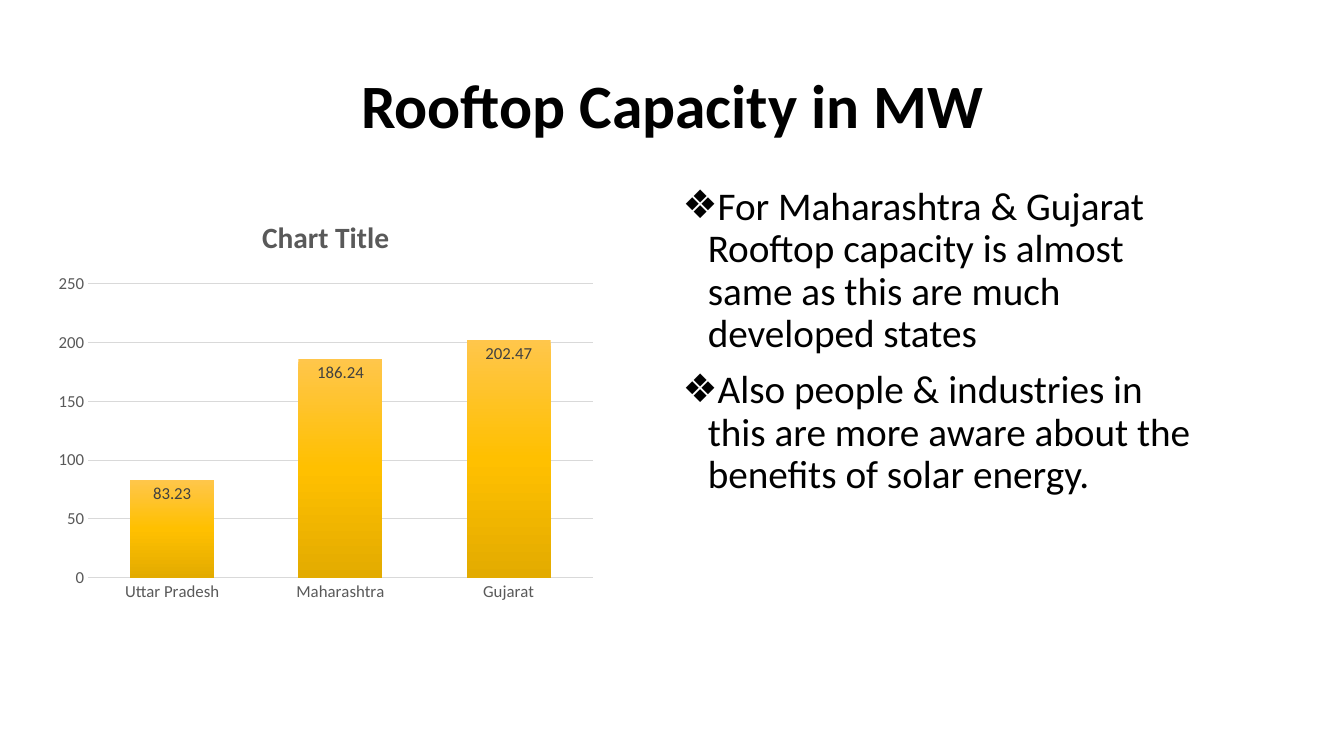
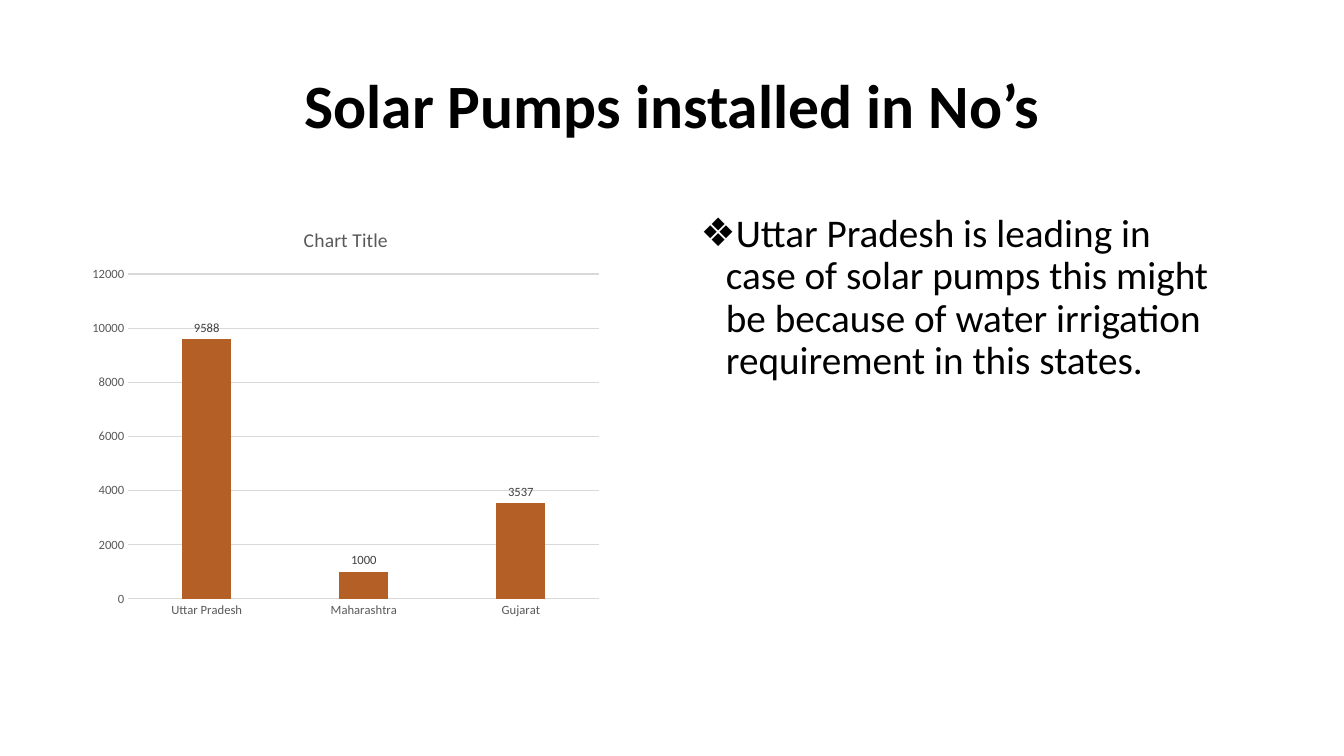
import copy
import lxml.etree
import pptx
import pptx.chart.data
import pptx.dml.color
import pptx.enum.chart
import pptx.enum.text
import pptx.oxml.ns
import pptx.util

Inches = pptx.util.Inches
Pt = pptx.util.Pt
qn = pptx.oxml.ns.qn

FACE = "Calibri"
BLACK, GREY, DARK, PALE = "000000", "595959", "404040", "D9D9D9"
STATES = ["Uttar Pradesh", "Maharashtra", "Gujarat"]


def paint(code):
    """Turn a hex string into a colour."""
    return pptx.dml.color.RGBColor.from_string(code)


def style(font, size, color=BLACK, bold=False):
    """Set face, size, colour and weight of a font."""
    font.name, font.size, font.bold = FACE, Pt(size), bold
    font.color.rgb = paint(color)


def write(para, text, size, color=BLACK, bold=False, align=None, space=0):
    """Fill a paragraph with one formatted run."""
    run = para.add_run()
    run.text = text
    style(run.font, size, color, bold)
    para.alignment = align
    para.line_spacing = 0.9
    para.space_before = Pt(space)


def bullet(para, char="\u2756", inset=0.25):
    """Give a paragraph a hanging bullet."""
    props = para._p.get_or_add_pPr()
    props.set("marL", str(Inches(inset)))
    props.set("indent", str(Inches(-inset)))
    lxml.etree.SubElement(props, qn("a:buChar")).set("char", char)


def shade(series, colors):
    """Fill a series with one colour or an even downward gradient."""
    fill = series.format.fill
    if len(colors) == 1:
        fill.solid()
        fill.fore_color.rgb = paint(colors[0])
        return
    fill.gradient()
    fill.gradient_angle = 270
    stops = series._element.find(".//" + qn("a:gsLst"))
    for _ in colors[2:]:
        stops.append(copy.deepcopy(stops[0]))
    for place, (stop, color) in enumerate(zip(fill.gradient_stops, colors)):
        stop.position = place / (len(colors) - 1)
        stop.color.rgb = paint(color)


class Deck:
    """Holds the presentation, its style and the current slide."""

    def __init__(self):
        """Start a wide presentation."""
        self.show = pptx.Presentation()
        self.show.slide_width = Inches(13.33)
        self.show.slide_height = Inches(7.5)
        self.slide = None

    def place(self, index, box, anchor):
        """Move a placeholder and return its text frame."""
        shape = self.slide.placeholders[index]
        shape.left, shape.top, shape.width, shape.height = map(Inches, box)
        frame = shape.text_frame
        frame.word_wrap = True
        frame.auto_size = pptx.enum.text.MSO_AUTO_SIZE.NONE
        frame.vertical_anchor = anchor
        return frame

    def page(self, title):
        """Add a slide with a centred title."""
        self.slide = self.show.slides.add_slide(self.show.slide_layouts[1])
        frame = self.place(0, (0.92, 0.35, 11.5, 1.45),
                           pptx.enum.text.MSO_ANCHOR.MIDDLE)
        write(frame.paragraphs[0], title, 44, bold=True,
              align=pptx.enum.text.PP_ALIGN.CENTER)

    def points(self, left, top, items):
        """Write the bulleted list."""
        frame = self.place(1, (left, top, 5.41, 4.25),
                           pptx.enum.text.MSO_ANCHOR.TOP)
        for place, item in enumerate(items):
            para = frame.add_paragraph() if place else frame.paragraphs[0]
            write(para, item, 28, space=10,
                  align=pptx.enum.text.PP_ALIGN.LEFT)
            bullet(para)

    def bars(self, box, values, fills, size, head, bold, gap, lap,
             top, step, spot, rule):
        """Draw a column chart of the states; its first series is empty."""
        kinds = pptx.enum.chart
        data = pptx.chart.data.CategoryChartData()
        data.categories = STATES
        data.add_series("Series 1", [])
        data.add_series("Series 2", values)
        chart = self.slide.shapes.add_chart(
            kinds.XL_CHART_TYPE.COLUMN_CLUSTERED, *map(Inches, box), data).chart
        style(chart.font, 10)
        chart.has_legend = False
        chart.has_title = True
        write(chart.chart_title.text_frame.paragraphs[0], "Chart Title",
              head, GREY, bold)
        chart.chart_title.include_in_layout = False

        plot = chart.plots[0]
        plot.vary_by_categories = False
        plot.gap_width, plot.overlap = gap, lap
        for series, colors in zip(plot.series, fills):
            shade(series, colors)
            labels = series.data_labels
            labels.show_value = True
            labels.position = spot
            style(labels.font, size, DARK)

        for axis in (chart.category_axis, chart.value_axis):
            axis.major_tick_mark = kinds.XL_TICK_MARK.NONE
            axis.minor_tick_mark = kinds.XL_TICK_MARK.NONE
            style(axis.tick_labels.font, size, GREY)
        base = chart.category_axis.format.line
        base.color.rgb, base.width = paint(PALE), Pt(rule)
        scale = chart.value_axis
        scale.minimum_scale, scale.maximum_scale = 0, top
        scale.major_unit = step
        scale.format.line.fill.background()
        grid = scale.major_gridlines.format.line
        grid.color.rgb, grid.width = paint(PALE), Pt(0.75)


def main():
    """Build both slides and save them."""
    spots = pptx.enum.chart.XL_LABEL_POSITION
    deck = Deck()

    deck.page("Rooftop Capacity in MW")
    deck.points(6.67, 1.8, [
        "For Maharashtra & Gujarat Rooftop capacity is almost same as this "
        "are much developed states",
        "Also people & industries in this are more aware about the benefits "
        "of solar energy."])
    deck.bars((0.47, 1.96, 5.52, 4.09), [83.23, 186.24, 202.47],
              [["6183CB", "3E70CA", "3062BB"], ["FFC64B", "FFC000", "E3AB00"]],
              size=12, head=21, bold=True, gap=100, lap=-24, top=250,
              step=50, spot=spots.INSIDE_END, rule=1)

    deck.page("Solar Pumps installed in No\u2019s")
    deck.points(6.85, 2.07, [
        "Uttar Pradesh is leading in case of solar pumps this might be "
        "because of water irrigation requirement in this states."])
    deck.bars((0.81, 2.07, 5.24, 4.14), [9588, 1000, 3537],
              [["F5C7B8"], ["B45F25"]],
              size=9, head=14, bold=False, gap=219, lap=-27, top=12000,
              step=2000, spot=spots.OUTSIDE_END, rule=0.75)

    deck.show.save("out.pptx")


main()
